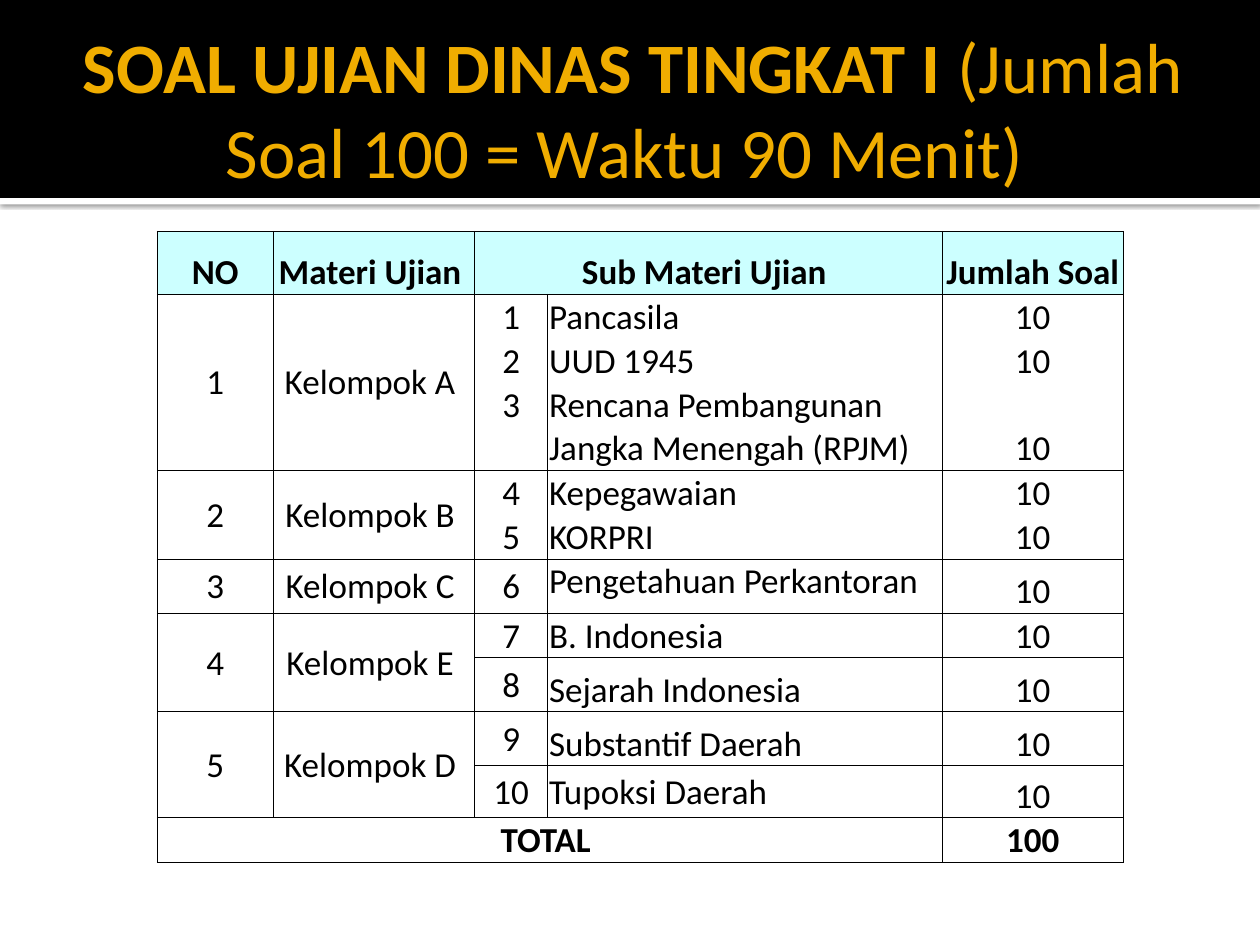
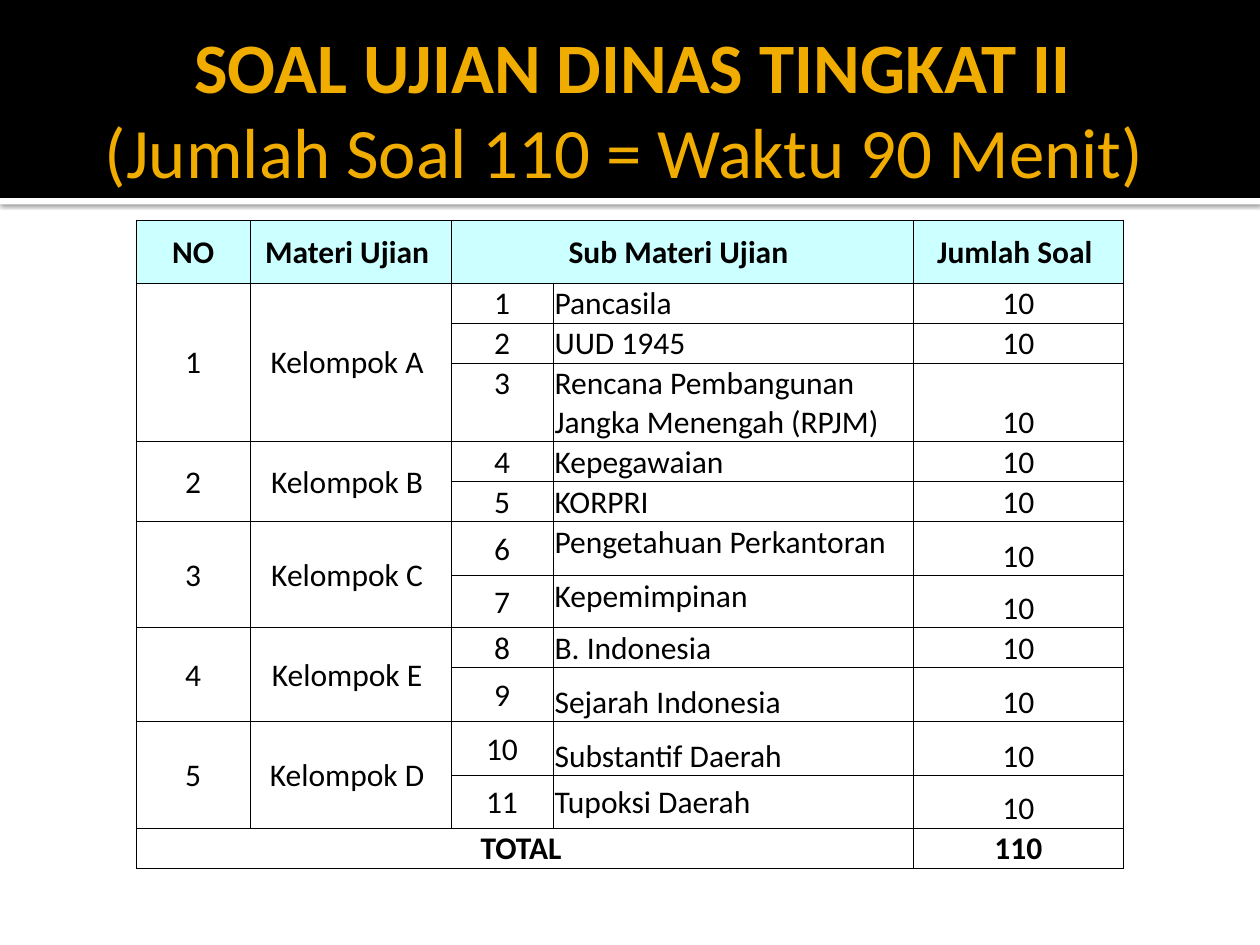
from lxml import etree
from pptx import Presentation
from pptx.dml.color import RGBColor
from pptx.enum.shapes import MSO_SHAPE
from pptx.enum.text import MSO_ANCHOR, MSO_AUTO_SIZE, PP_ALIGN
from pptx.oxml.ns import qn
from pptx.util import Cm, Pt

TOP, MIDDLE, BOTTOM = MSO_ANCHOR.TOP, MSO_ANCHOR.MIDDLE, MSO_ANCHOR.BOTTOM
LEFT, CENTER = PP_ALIGN.LEFT, PP_ALIGN.CENTER
RECTANGLE = MSO_SHAPE.RECTANGLE

FONT = "Calibri"
BLACK, WHITE, GOLD, AQUA = "000000", "FFFFFF", "F0AD00", "CCFFFF"
TITLE_SIZE = 40.5
QUESTIONS_EACH = 10
HEADER_HEIGHT = 1.27
HEADINGS = {0: "NO", 1: "Materi Ujian ", 2: "Sub Materi Ujian ", 4: "Jumlah Soal "}
RPJM = "Rencana Pembangunan Jangka Menengah (RPJM)"

# Subjects whose name is not at the bottom of its cell
NAME_ANCHORS = {
    "Kepegawaian": MIDDLE,
    "KORPRI": MIDDLE,
    "Tupoksi Daerah": MIDDLE,
    "Pengetahuan Perkantoran": TOP,
    "Kepemimpinan": TOP,
}
# Subjects whose row is taller than one line, in cm
TALL_ROWS = {
    "Pengetahuan Perkantoran": 1.09,
    "Sejarah Indonesia": 1.09,
    "Substantif Daerah": 1.09,
    "Kepemimpinan": 1.05,
    "Tupoksi Daerah": 1.05,
}

GROUP_A = ("Kelompok A ", ["Pancasila", "UUD 1945", RPJM])
GROUP_B = ("Kelompok B ", ["Kepegawaian", "KORPRI"])
GROUP_E = ("Kelompok E ", ["B. Indonesia", "Sejarah Indonesia"])
GROUP_D = ("Kelompok D ", ["Substantif Daerah", "Tupoksi Daerah"])

EXAMS = [
    {
        "title": "SOAL UJIAN DINAS TINGKAT I ",
        "terms": "(Jumlah Soal 100 = Waktu 90 Menit) ",
        "groups": [GROUP_A, GROUP_B,
                   ("Kelompok C ", ["Pengetahuan Perkantoran"]),
                   GROUP_E, GROUP_D],
        "unruled": ["Kelompok A ", "Kelompok B "],
        "corner": (3.17, 4.66),
        "columns": [2.34, 4.06, 1.47, 7.95, 3.66],
        "line": 0.87, "size": 20, "heading_anchor": BOTTOM,
    },
    {
        "title": "SOAL UJIAN DINAS TINGKAT II ",
        "terms": "(Jumlah Soal 110 = Waktu 90 Menit) ",
        "groups": [GROUP_A, GROUP_B,
                   ("Kelompok C ", ["Pengetahuan Perkantoran", "Kepemimpinan"]),
                   GROUP_E, GROUP_D],
        "unruled": [],
        "corner": (2.74, 4.44),
        "columns": [2.31, 4.04, 2.06, 7.26, 4.24],
        "line": 0.79, "size": 18, "heading_anchor": MIDDLE,
    },
]


def rgb(value):
    return RGBColor.from_string(value)


def add_text(paragraph, text, size, color=BLACK, bold=False, align=CENTER):
    paragraph.alignment = align
    run = paragraph.add_run()
    run.text = text
    run.font.name, run.font.size, run.font.bold = FONT, Pt(size), bold
    run.font.color.rgb = rgb(color)


def add_band(slide, layout, top, height, color, position):
    """Make a full-width band and move it into the layout, behind the title."""
    band = slide.shapes.add_shape(RECTANGLE, 0, Cm(top), Cm(25.4), Cm(height))
    band.fill.solid()
    band.fill.fore_color.rgb = rgb(color)
    band.line.fill.background()
    band.shadow.inherit = False
    layout.shapes.element.insert(position, band.element)
    return band


def add_shadow(band):
    effects = band.element.spPr.find(qn("a:effectLst"))
    shadow = etree.SubElement(effects, qn("a:outerShdw"), blurRad=str(Pt(2.5)),
                              dist=str(Pt(0.8)), dir="5400000", rotWithShape="0")
    color = etree.SubElement(shadow, qn("a:srgbClr"), val=BLACK)
    etree.SubElement(color, qn("a:alpha"), val="60000")


def prepare_layout(layout):
    for placeholder in list(layout.placeholders):
        if placeholder.placeholder_format.idx:
            placeholder.element.getparent().remove(placeholder.element)
    title = layout.placeholders[0]
    title.left, title.top, title.width, title.height = Cm(1.27), Cm(0.43), Cm(22.86), Cm(3.48)
    frame = title.text_frame
    frame.auto_size = MSO_AUTO_SIZE.NONE
    frame.vertical_anchor = MIDDLE
    frame.margin_left = Cm(0.25)
    frame.margin_right = frame.margin_top = frame.margin_bottom = Cm(0.13)


def style_cell(cell, fill=None, hidden_sides=""):
    """Set margins, thin black borders (none on the hidden sides) and fill."""
    cell.margin_left = cell.margin_right = cell.margin_top = Cm(0.03)
    cell.margin_bottom = 0
    properties = cell._tc.get_or_add_tcPr()
    for side in "LRTB":
        line = etree.SubElement(properties, qn(f"a:ln{side}"), w=str(Pt(0.5)))
        if side in hidden_sides:
            etree.SubElement(line, qn("a:noFill"))
        else:
            paint = etree.SubElement(line, qn("a:solidFill"))
            etree.SubElement(paint, qn("a:srgbClr"), val=BLACK)
    if fill:
        cell.fill.solid()
        cell.fill.fore_color.rgb = rgb(fill)
    else:
        cell.fill.background()


def add_exam_table(slide, exam):
    groups, line = exam["groups"], exam["line"]
    subjects = [name for _, names in groups for name in names]
    heights = [HEADER_HEIGHT]
    heights += [2 * line if name == RPJM else TALL_ROWS.get(name, line) for name in subjects]
    heights.append(line)
    total_row = len(heights) - 1

    left, top = exam["corner"]
    table = slide.shapes.add_table(
        len(heights), len(exam["columns"]), Cm(left), Cm(top),
        Cm(sum(exam["columns"])), Cm(sum(heights))).table
    table.first_row = table.horz_banding = False
    for column, width in zip(table.columns, exam["columns"]):
        column.width = Cm(width)
    for row, height in zip(table.rows, heights):
        row.height = Cm(height)

    def write(row, column, text, anchor=MIDDLE, **text_format):
        cell = table.cell(row, column)
        cell.vertical_anchor = anchor
        add_text(cell.text_frame.paragraphs[0], text, exam["size"], **text_format)

    def style_row(row, fill=None, hidden_sides=""):
        for column in range(len(exam["columns"])):
            style_cell(table.cell(row, column), fill, hidden_sides if column > 1 else "")

    style_row(0, AQUA)
    table.cell(0, 2).merge(table.cell(0, 3))
    for column, heading in HEADINGS.items():
        write(0, column, heading, exam["heading_anchor"], bold=True)

    row = 1
    for group_number, (group, names) in enumerate(groups, 1):
        last = row + len(names) - 1
        if last > row:
            for column in (0, 1):
                table.cell(row, column).merge(table.cell(last, column))
        write(row, 0, str(group_number))
        write(row, 1, group)
        first = row
        for name in names:
            hidden = ""
            if group in exam["unruled"]:
                hidden = ("T" if row > first else "") + ("B" if row < last else "")
            style_row(row, hidden_sides=hidden)
            write(row, 2, str(row), TOP if name == RPJM else MIDDLE)
            write(row, 3, name, NAME_ANCHORS.get(name, BOTTOM), align=LEFT)
            write(row, 4, str(QUESTIONS_EACH), BOTTOM)
            row += 1

    style_row(total_row)
    table.cell(total_row, 0).merge(table.cell(total_row, 3))
    write(total_row, 0, "TOTAL ", BOTTOM, bold=True)
    write(total_row, 4, str(QUESTIONS_EACH * len(subjects)), BOTTOM, bold=True)


def main():
    deck = Presentation()
    deck.slide_width, deck.slide_height = Cm(25.4), Cm(19.05)
    layout = deck.slide_layouts[5]
    prepare_layout(layout)
    for number, exam in enumerate(EXAMS):
        slide = deck.slides.add_slide(layout)
        if number == 0:
            add_band(slide, layout, 0, 3.99, BLACK, 2)
            add_shadow(add_band(slide, layout, 3.99, 0.13, WHITE, 2))
        heading = slide.shapes.title.text_frame.paragraphs[0]
        add_text(heading, exam["title"], TITLE_SIZE, GOLD, bold=True)
        add_text(heading, exam["terms"], TITLE_SIZE, GOLD)
        add_exam_table(slide, exam)
    deck.save("out.pptx")


if __name__ == "__main__":
    main()
